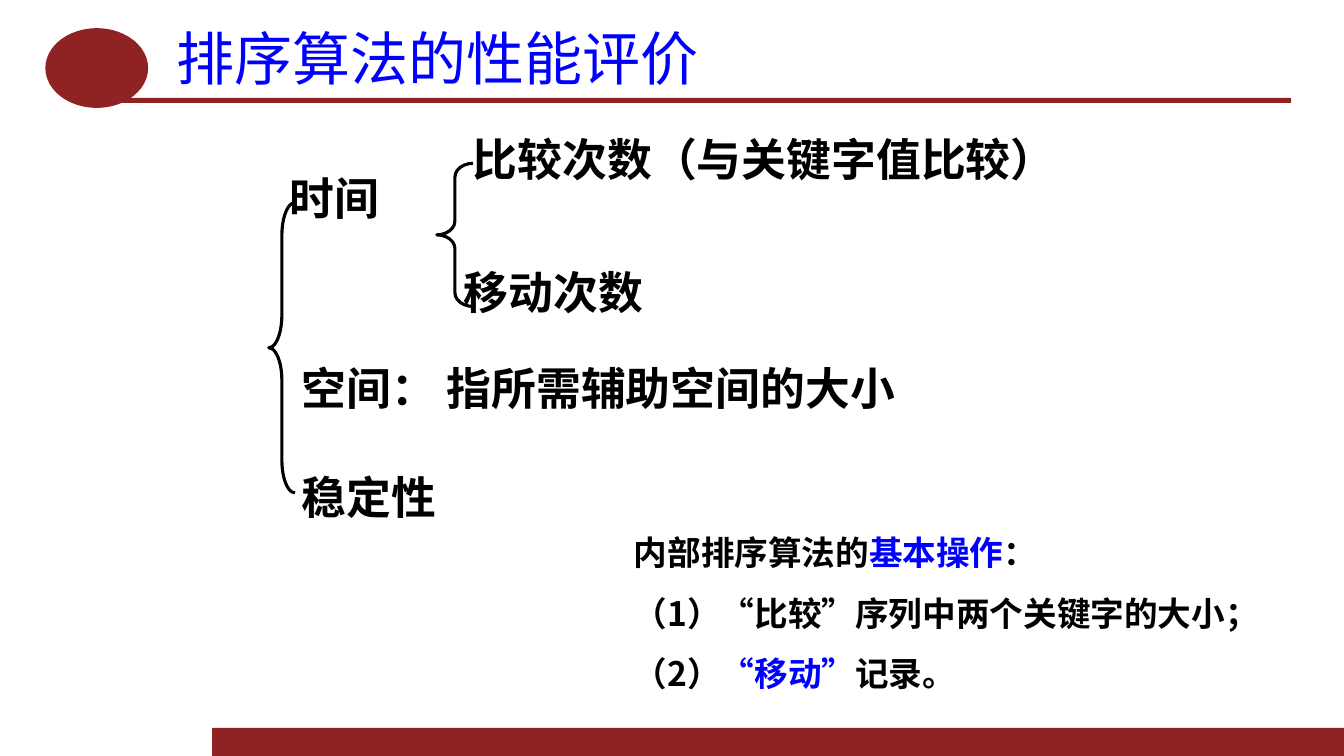
from pptx import Presentation
from pptx.dml.color import RGBColor
from pptx.enum.lang import MSO_LANGUAGE_ID as Language
from pptx.enum.shapes import MSO_SHAPE as Shape
from pptx.enum.text import MSO_ANCHOR as Anchor, MSO_AUTO_SIZE as AutoSize, PP_ALIGN as Align
from pptx.oxml.ns import qn
from pptx.util import Inches, Pt

COLORS = {"maroon": "8F2222", "blue": "0000FF", "black": "000000"}
SANS, SERIF = "Noto Sans CJK SC", "Times New Roman"
COLUMNS, ROWS = 160, 90
INDENT = 0.54  # inches: normal inset plus one full-width character

HEADING = {"size": Pt(41.4), "name": SANS}
TOPIC = {"size": Pt(32), "name": SERIF, "bold": True}
NOTE = {"size": Pt(24), "name": SANS, "bold": True}


def color(name):
    return RGBColor.from_string(COLORS[name])


class SlideBuilder:
    """Draws on one slide, placing boxes as (column, row, columns, rows)."""

    def __init__(self, presentation):
        self.column = presentation.slide_width / COLUMNS
        self.row = presentation.slide_height / ROWS
        self.slide = presentation.slides.add_slide(presentation.slide_layouts[6])

    def place(self, box):
        units = (self.column, self.row) * 2
        return [round(length * unit) for length, unit in zip(box, units)]

    def block(self, kind, box):
        shape = self.slide.shapes.add_shape(kind, *self.place(box))
        shape.shadow.inherit = False
        shape.fill.solid()
        shape.fill.fore_color.rgb = color("maroon")
        shape.line.fill.background()

    def brace(self, box, curl):
        shape = self.slide.shapes.add_shape(Shape.LEFT_BRACE, *self.place(box))
        shape.shadow.inherit = False
        shape.adjustments[0] = curl
        shape.fill.background()
        shape.line.color.rgb = color("black")
        shape.line.width = Pt(2.25)

    def text(self, box, paragraphs, style, frame_format=None, paragraph_format=None):
        """Each paragraph is a list of (text, colour name, optional font name)."""
        frame = self.slide.shapes.add_textbox(*self.place(box)).text_frame
        frame_values = {"word_wrap": True, "auto_size": AutoSize.SHAPE_TO_FIT_TEXT}
        self.apply(frame, frame_values | (frame_format or {}))
        for index, runs in enumerate(paragraphs):
            paragraph = frame.add_paragraph() if index else frame.paragraphs[0]
            self.apply(paragraph, paragraph_format or {})
            for content, color_name, *font_name in runs:
                run = paragraph.add_run()
                run.text = content
                self.apply(run.font, style | {"language_id": Language.SIMPLIFIED_CHINESE})
                if font_name:
                    run.font.name = font_name[0]
                run.font.color.rgb = color(color_name)
                latin = run.font._element.find(qn("a:latin"))
                east_asian = latin.makeelement(qn("a:ea"), {"typeface": SANS})
                latin.addnext(east_asian)

    def topic(self, box, content, inset=INDENT):
        self.text((*box, 9.24), [[(content, "black")]], TOPIC,
                  {"margin_left": Inches(inset)}, {"line_spacing": 1.25})

    @staticmethod
    def apply(target, values):
        for name, value in values.items():
            setattr(target, name, value)


def main():
    presentation = Presentation()
    presentation.slide_width = Inches(13.33)
    presentation.slide_height = Inches(7.5)
    builder = SlideBuilder(presentation)

    builder.block(Shape.RECTANGLE, (25.25, 86.64, 134.75, 3.36))
    builder.block(Shape.RECTANGLE, (14.16, 11.64, 139.56, 0.6))
    builder.block(Shape.OVAL, (5.4, 3.36, 12.24, 9.48))

    builder.topic((28, 18.12, 48), "时间")
    builder.topic((49.8, 13.44, 102.84), "比较次数（与关键字值比较）")
    builder.topic((48.72, 29.28, 96.48), "移动次数")
    builder.brace((52, 19.44, 4.32, 17.04), 0.38)
    builder.topic((29.4, 40.8, 58.68), "空间：")
    builder.topic((52, 40.8, 92), "指所需辅助空间的大小", inset=0.1)
    builder.brace((32, 24.12, 3.12, 34.56), 1.25)
    builder.topic((29.4, 53.76, 58.68), "稳定性")

    builder.text(
        (19.44, 2.52, 134.28, 8.52), [[("排序算法的性能评价", "blue")]], HEADING,
        {"auto_size": AutoSize.NONE, "vertical_anchor": Anchor.MIDDLE,
         "margin_left": Inches(0.13), "margin_right": Inches(0.13),
         "margin_top": Inches(0.06), "margin_bottom": Inches(0.06)},
        {"alignment": Align.JUSTIFY})

    operations = [
        [("内部排序算法的", "black"), ("基本操作", "blue"), ("：", "black")],
        [("（1）“比较”序列中两个关键字的大小；", "black")],
        [("（2）", "black"), ("“", "blue", SERIF), ("移动", "blue"),
         ("”", "blue", SERIF), ("记录。", "black")],
    ]
    builder.text((74.28, 60.36, 78.36, 23.04), operations, NOTE,
                 paragraph_format={"line_spacing": 1.5})

    presentation.save("out.pptx")


if __name__ == "__main__":
    main()
